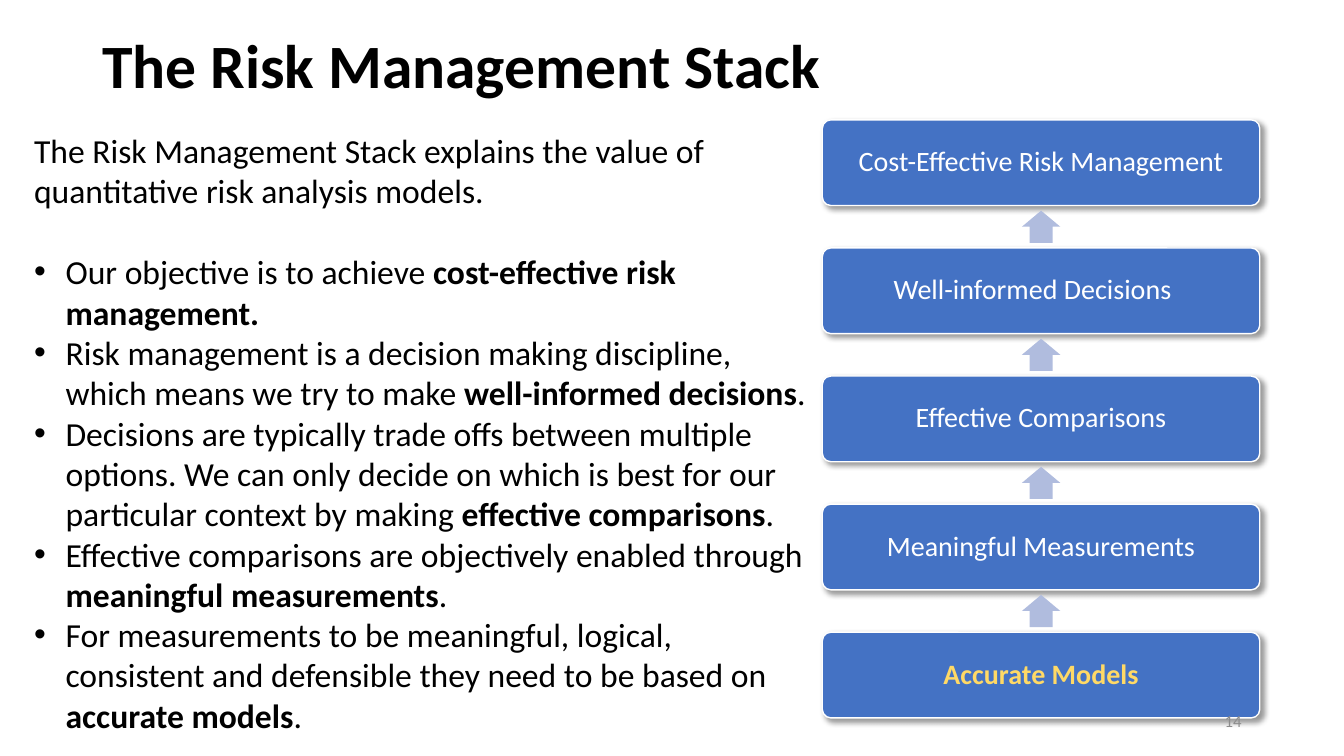
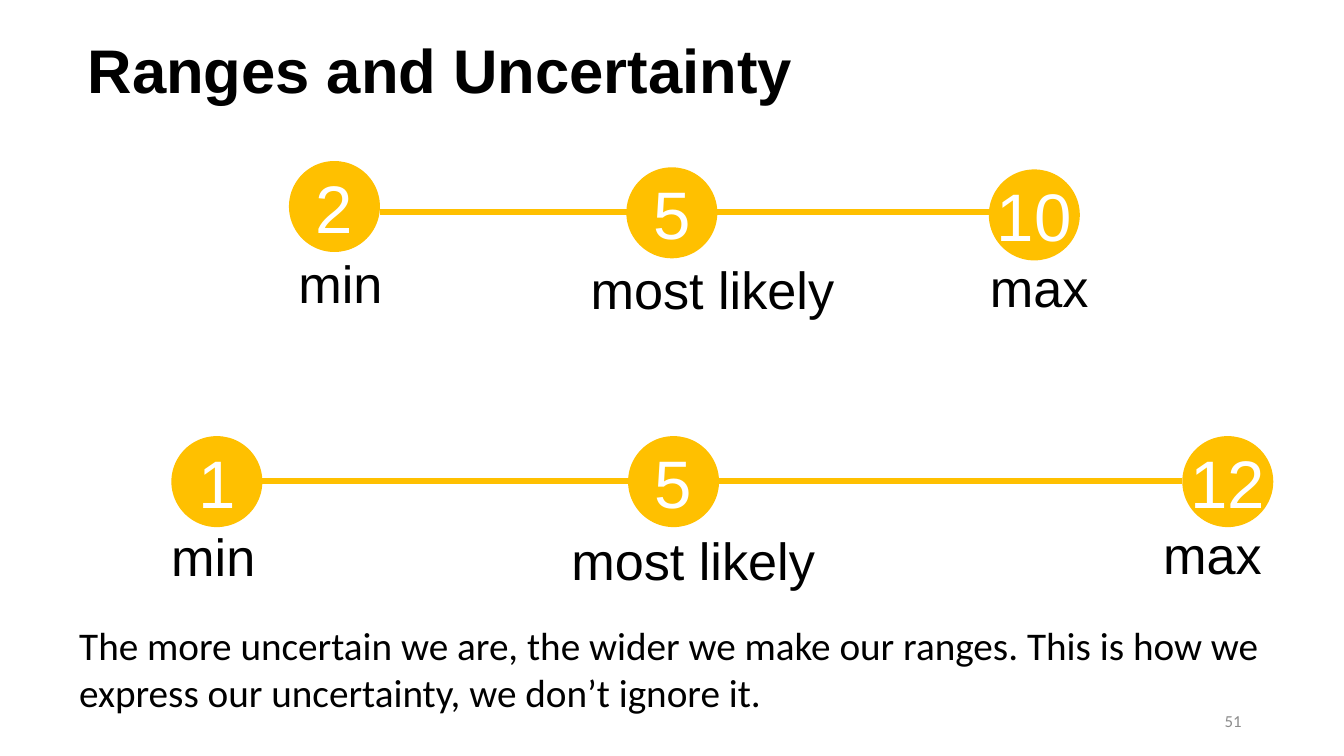
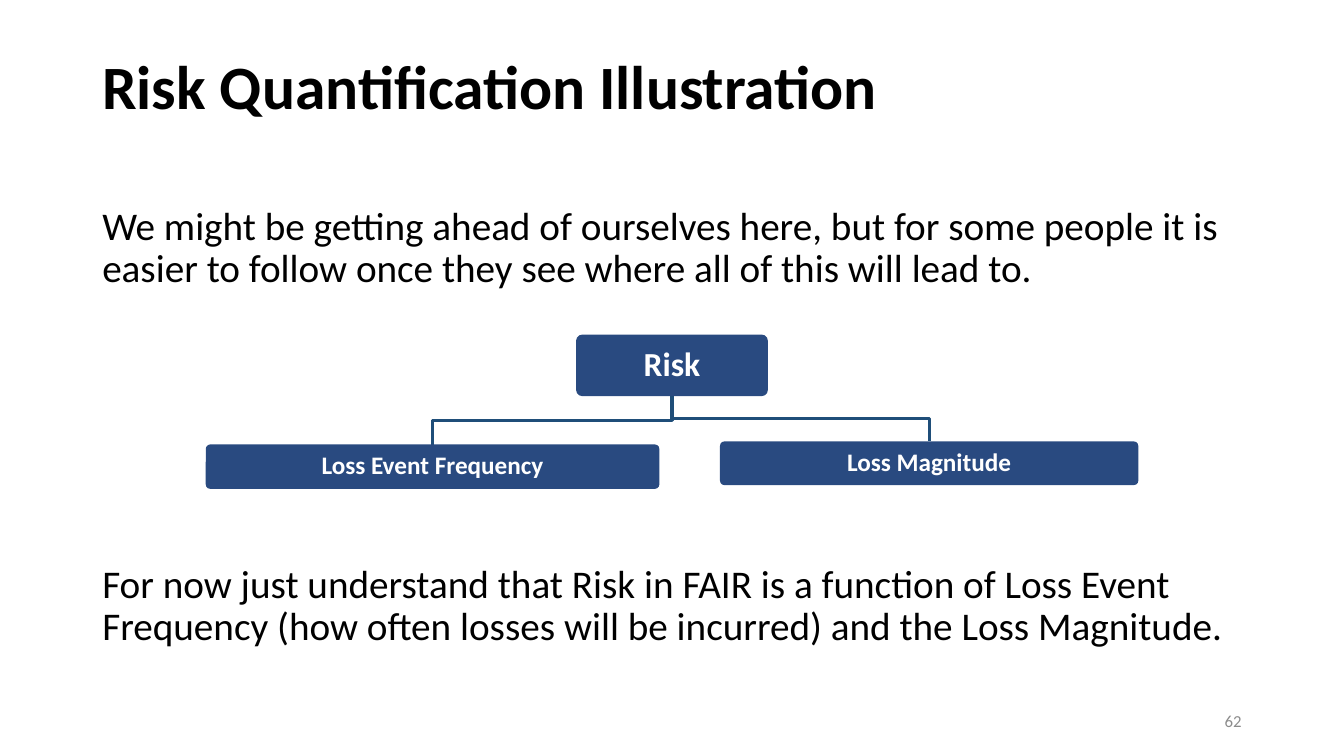
"""Build three slides on risk stacks, ranges and risk quantification."""
from dataclasses import dataclass
from typing import Any, NamedTuple

from lxml.etree import SubElement
from pptx import Presentation
from pptx.dml.color import RGBColor
from pptx.enum.shapes import MSO_CONNECTOR, MSO_SHAPE
from pptx.enum.text import MSO_ANCHOR, PP_ALIGN
from pptx.oxml.ns import qn
from pptx.util import Pt


@dataclass(frozen=True)
class Theme:
    """Colours, fonts and type sizes."""
    black: str = "000000"
    white: str = "FFFFFF"
    grey: str = "8C8C8C"
    blue: str = "4472C4"
    pale_blue: str = "B0BCDE"
    navy: str = "294A80"
    steel: str = "1F4E79"
    amber: str = "FFC000"
    yellow: str = "FFD966"
    sans: str = "Calibri"
    plain: str = "Arial"
    title: float = 44
    value: float = 48
    label: float = 37.3
    statement: float = 28
    body: float = 24
    box: float = 20
    leaf: float = 18
    number: float = 12


THEME = Theme()


class Box(NamedTuple):
    """A rectangle in points."""
    left: float
    top: float
    width: float
    height: float

    @property
    def center(self) -> float:
        """Return the horizontal centre."""
        return self.left + self.width / 2

    @property
    def bottom(self) -> float:
        """Return the lower edge."""
        return self.top + self.height

    def lengths(self) -> list[int]:
        """Return the four measures as lengths."""
        return [Pt(measure) for measure in self]


class Style(NamedTuple):
    """The look of a piece of text."""
    size: float
    color: str = THEME.black
    font: str = THEME.sans
    bold: bool = False
    align: Any = PP_ALIGN.LEFT
    spacing: float = 1.0


class Run(NamedTuple):
    """A stretch of text with one weight."""
    text: str
    bold: bool = False


class Paragraph(NamedTuple):
    """Runs with their paragraph settings."""
    runs: list[Run]
    bullet: bool = False
    after: float = 0


class StackLevel(NamedTuple):
    """One box of the risk management stack."""
    text: str
    color: str = THEME.white
    bold: bool = False
    extra_right: float = 0


class RangePoint(NamedTuple):
    """One value on a range with its label position."""
    value: str
    left: float
    top: float
    label: str
    label_box: Box


TITLE = Style(THEME.title, bold=True, spacing=0.9)
RANGE_TITLE = TITLE._replace(font=THEME.plain)
BODY = Style(THEME.body)
STATEMENT = Style(THEME.statement)
TIGHT_STATEMENT = STATEMENT._replace(spacing=0.9)
LABEL = Style(THEME.label, font=THEME.plain)
VALUE = Style(THEME.value, THEME.white, THEME.plain, align=PP_ALIGN.CENTER)
NUMBER = Style(THEME.number, THEME.grey, align=PP_ALIGN.RIGHT)
STACK_TEXT = Style(THEME.box, THEME.white, align=PP_ALIGN.CENTER, spacing=0.9)
NODE_TEXT = STACK_TEXT._replace(size=THEME.body, bold=True)
LEAF_TEXT = NODE_TEXT._replace(size=THEME.leaf)
MIDDLE = {"vertical_anchor": MSO_ANCHOR.MIDDLE}

BULLETS = [
    ("Our objective is to achieve ", "cost-effective risk management.", ""),
    ("Risk management is a decision making discipline, which means we try to make ",
     "well-informed decisions", "."),
    ("Decisions are typically trade offs between multiple options. We can only decide "
     "on which is best for our particular context by making ", "effective comparisons", "."),
    ("Effective comparisons are objectively enabled through ", "meaningful measurements", "."),
    ("For measurements to be meaningful, logical, consistent and defensible they need "
     "to be based on ", "accurate models", "."),
]

STACK = [
    StackLevel("Cost-Effective Risk Management"),
    StackLevel("Well-informed Decisions", extra_right=12.2),
    StackLevel("Effective Comparisons"),
    StackLevel("Meaningful Measurements"),
    StackLevel("Accurate Models", THEME.yellow, True),
]
STACK_TOP = Box(587.4, 85.6, 312.5, 61.2)
STACK_PITCH = 91.5
ARROW_WIDTH, ARROW_HEIGHT = 27.4, 23

DIAMETER = 65
NARROW_RANGE = [
    RangePoint("2", 206.4, 115, "min", Box(206, 175.7, 75.6, 52.5)),
    RangePoint("5", 447.4, 119.5, "most likely", Box(414.7, 180, 190, 52.5)),
    RangePoint("10", 706.3, 121, "max", Box(700, 178.6, 85.7, 52.5)),
]
WIDE_RANGE = [
    RangePoint("1", 122.4, 311.5, "min", Box(115.2, 370.8, 75.6, 52.5)),
    RangePoint("5", 448.6, 311.5, "most likely", Box(401, 373.7, 190, 52.5)),
    RangePoint("12", 844.5, 311.5, "max", Box(823.7, 369.4, 85.7, 52.5)),
]

ROOT = Box(411.5, 239, 137, 44)
LEAVES = {
    "Loss Event Frequency": Box(147, 317.5, 324, 31.7),
    "Loss Magnitude": Box(514.3, 315.3, 298.8, 31.2),
}


def set_values(target: Any, values: dict[str, Any]) -> None:
    """Set each named attribute of the target."""
    for name, value in values.items():
        setattr(target, name, value)


def add_bullet(paragraph: Any) -> None:
    """Give a paragraph a hanging round bullet."""
    properties = paragraph._p.get_or_add_pPr()
    properties.set("marL", str(Pt(22.5)))
    properties.set("indent", str(-Pt(22.5)))
    SubElement(properties, qn("a:buFont"), typeface=THEME.plain)
    SubElement(properties, qn("a:buChar"), char="•")


def write(shape: Any, content: str | list[Paragraph], style: Style,
          frame_values: dict[str, Any] | None = None) -> None:
    """Write styled paragraphs into a shape."""
    frame = shape.text_frame
    set_values(frame, {"word_wrap": True, **(frame_values or {})})
    if isinstance(content, str):
        content = [Paragraph([Run(content)])]
    for index, item in enumerate(content):
        paragraph = frame.add_paragraph() if index else frame.paragraphs[0]
        if item.bullet:
            add_bullet(paragraph)
        set_values(paragraph, {"alignment": style.align, "line_spacing": style.spacing,
                               "space_after": Pt(item.after)})
        for part in item.runs:
            run = paragraph.add_run()
            run.text = part.text
            set_values(run.font, {"name": style.font, "size": Pt(style.size),
                                  "bold": style.bold or part.bold})
            run.font.color.rgb = RGBColor.from_string(style.color)


def add_text(slide: Any, box: Box, content: str | list[Paragraph], style: Style,
             frame_values: dict[str, Any] | None = None) -> None:
    """Add a text box."""
    write(slide.shapes.add_textbox(*box.lengths()), content, style, frame_values)


def add_filled(slide: Any, kind: Any, box: Box, color: str,
               adjustments: tuple[float, ...] = ()) -> Any:
    """Add a filled preset shape with neither outline nor shadow."""
    shape = slide.shapes.add_shape(kind, *box.lengths())
    shape.shadow.inherit = False
    shape.fill.solid()
    shape.fill.fore_color.rgb = RGBColor.from_string(color)
    shape.line.fill.background()
    for index, value in enumerate(adjustments):
        shape.adjustments[index] = value
    return shape


def set_line(shape: Any, color: str, width: float) -> None:
    """Set the outline colour and width of a shape."""
    shape.line.color.rgb = RGBColor.from_string(color)
    shape.line.width = Pt(width)


def add_soft_shadow(shape: Any) -> None:
    """Give a shape a soft shadow to the lower right."""
    effects = shape._element.spPr.find(qn("a:effectLst"))
    shadow = SubElement(effects, qn("a:outerShdw"), blurRad=str(Pt(4)), dist=str(Pt(3)),
                        dir="2700000", algn="tl", rotWithShape="0")
    color = SubElement(shadow, qn("a:srgbClr"), val=THEME.black)
    SubElement(color, qn("a:alpha"), val="40000")


def margins(size: float, extra_right: float = 0) -> dict[str, Any]:
    """Return frame values for centred text with equal margins."""
    return {**MIDDLE, "margin_left": Pt(size), "margin_top": Pt(size),
            "margin_right": Pt(size + extra_right), "margin_bottom": Pt(size)}


def new_slide(presentation: Any, title: str, box: Box, style: Style = TITLE,
              anchor: Any = MSO_ANCHOR.MIDDLE) -> Any:
    """Add a blank slide with its title."""
    slide = presentation.slides.add_slide(presentation.slide_layouts[6])
    add_text(slide, box, title, style, {"vertical_anchor": anchor})
    return slide


def add_number(slide: Any, number: int) -> None:
    """Add the slide number."""
    add_text(slide, Box(678, 500.5, 216, 28.8), str(number), NUMBER, MIDDLE)


def add_stack(slide: Any) -> None:
    """Draw the stack of boxes joined by upward arrows."""
    gap = STACK_PITCH - STACK_TOP.height
    for index, level in enumerate(STACK):
        box = STACK_TOP._replace(top=STACK_TOP.top + index * STACK_PITCH)
        shape = add_filled(slide, MSO_SHAPE.ROUNDED_RECTANGLE, box, THEME.blue, (0.1,))
        set_line(shape, THEME.white, 1)
        add_soft_shadow(shape)
        write(shape, level.text, STACK_TEXT._replace(color=level.color, bold=level.bold),
              margins(6, level.extra_right))
        if index:
            arrow = Box(box.center - ARROW_WIDTH / 2, box.top - (gap + ARROW_HEIGHT) / 2,
                        ARROW_WIDTH, ARROW_HEIGHT)
            add_filled(slide, MSO_SHAPE.UP_ARROW, arrow, THEME.pale_blue, (0.6, 0.5))


def add_range(slide: Any, points: list[RangePoint], axis: float) -> None:
    """Draw a range line with its values and labels."""
    line = slide.shapes.add_connector(
        MSO_CONNECTOR.STRAIGHT, Pt(points[0].left + DIAMETER), Pt(axis),
        Pt(points[-1].left), Pt(axis))
    set_line(line, THEME.amber, 4.25)
    SubElement(line._element.spPr, qn("a:effectLst"))
    for point in points:
        circle = add_filled(slide, MSO_SHAPE.OVAL,
                            Box(point.left, point.top, DIAMETER, DIAMETER), THEME.amber)
        write(circle, point.value, VALUE, {**MIDDLE, "word_wrap": False})
        add_text(slide, point.label_box, point.label, LABEL, {"word_wrap": False})


def add_node(slide: Any, box: Box, text: str, style: Style, margin: float) -> None:
    """Draw one node of the risk tree."""
    shape = add_filled(slide, MSO_SHAPE.ROUNDED_RECTANGLE, box, THEME.navy, (0.1,))
    write(shape, text, style, margins(margin))


def add_branch(slide: Any, parent: Box, child: Box) -> None:
    """Draw the stepped line from a parent node to a child node."""
    middle = (parent.bottom + child.top) / 2
    corners = [(parent.center, middle), (child.center, middle), (child.center, child.top)]
    builder = slide.shapes.build_freeform(Pt(parent.center), Pt(parent.bottom))
    builder.add_line_segments([(Pt(x), Pt(y)) for x, y in corners], close=False)
    branch = builder.convert_to_shape()
    branch.shadow.inherit = False
    branch.fill.background()
    set_line(branch, THEME.steel, 2.25)


def build_stack_slide(presentation: Any) -> None:
    """Build the slide on the risk management stack."""
    slide = new_slide(presentation, "The Risk Management Stack", Box(66, 0, 828, 98.6))
    add_stack(slide)
    paragraphs = [Paragraph([Run(
        "The Risk Management Stack explains the value of quantitative risk analysis models."
    )], after=29)]
    for before, strong, ending in BULLETS:
        runs = [Run(before), Run(strong, True), Run(ending)]
        paragraphs.append(Paragraph([run for run in runs if run.text], bullet=True))
    add_text(slide, Box(17.3, 89.3, 571, 443.5), paragraphs, BODY)
    add_number(slide, 14)


def build_range_slide(presentation: Any) -> None:
    """Build the slide on ranges and uncertainty."""
    slide = new_slide(presentation, "Ranges and Uncertainty", Box(55.5, 25.2, 864, 90),
                      RANGE_TITLE, MSO_ANCHOR.TOP)
    add_range(slide, NARROW_RANGE, 151.3)
    add_range(slide, WIDE_RANGE, 343.8)
    add_text(slide, Box(49.5, 440, 877, 75),
             "The more uncertain we are, the wider we make our ranges. This is how we "
             "express our uncertainty, we don’t ignore it.", STATEMENT)
    add_number(slide, 51)


def build_tree_slide(presentation: Any) -> None:
    """Build the slide on risk quantification."""
    slide = new_slide(presentation, "Risk Quantification Illustration",
                      Box(66, 28.8, 828, 70.5))
    add_text(slide, Box(66, 144, 828, 80),
             "We might be getting ahead of ourselves here, but for some people it is "
             "easier to follow once they see where all of this will lead to.",
             TIGHT_STATEMENT)
    for text, box in LEAVES.items():
        add_branch(slide, ROOT, box)
        add_node(slide, box, text, LEAF_TEXT, 5)
    add_node(slide, ROOT, "Risk", NODE_TEXT, 7)
    add_text(slide, Box(66, 399.6, 828, 90),
             "For now just understand that Risk in FAIR is a function of Loss Event "
             "Frequency (how often losses will be incurred) and the Loss Magnitude.",
             TIGHT_STATEMENT)
    add_number(slide, 62)


def main() -> None:
    """Build and save the presentation."""
    presentation = Presentation()
    set_values(presentation, {"slide_width": Pt(960), "slide_height": Pt(540)})
    for build in (build_stack_slide, build_range_slide, build_tree_slide):
        build(presentation)
    presentation.save("out.pptx")


if __name__ == "__main__":
    main()
